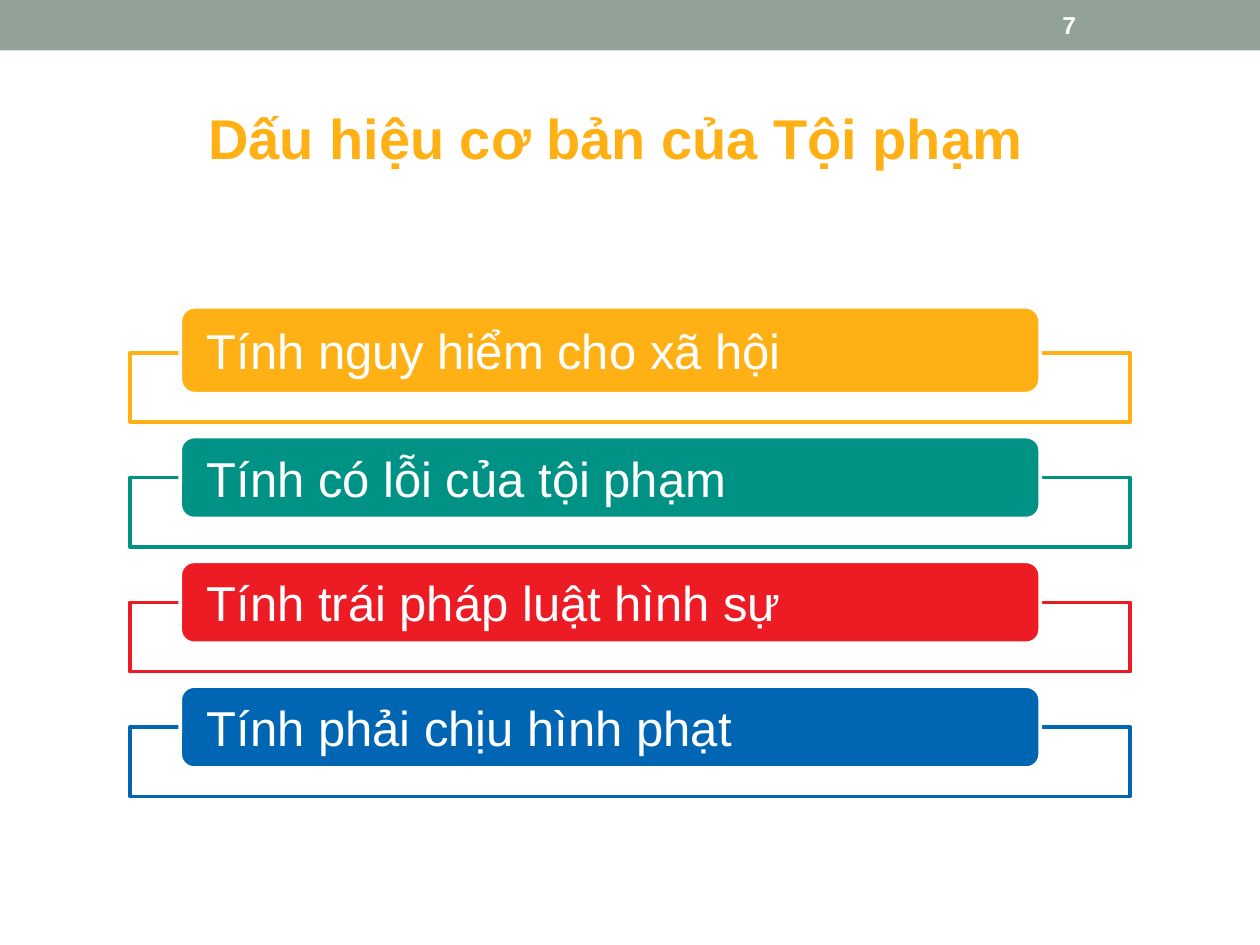
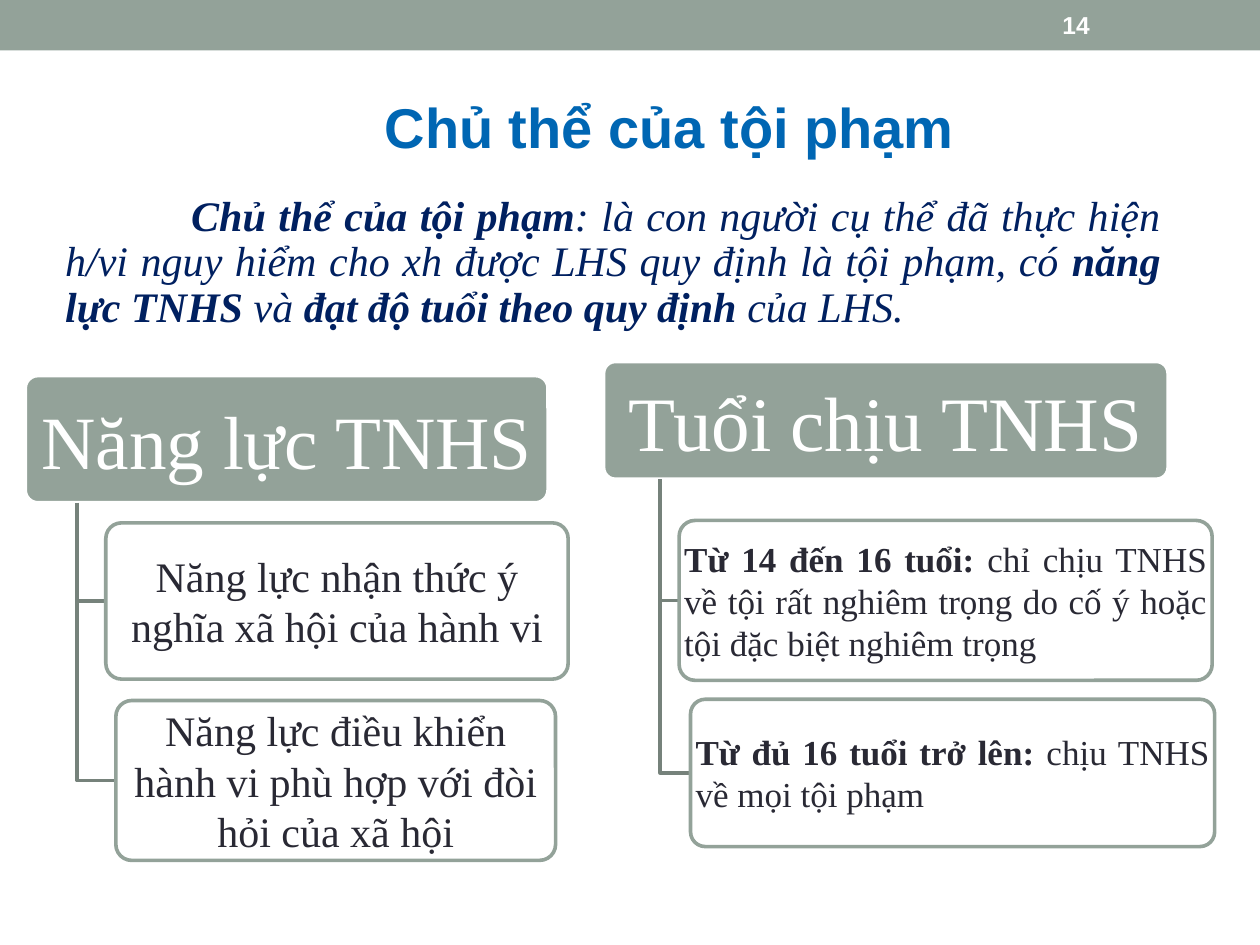
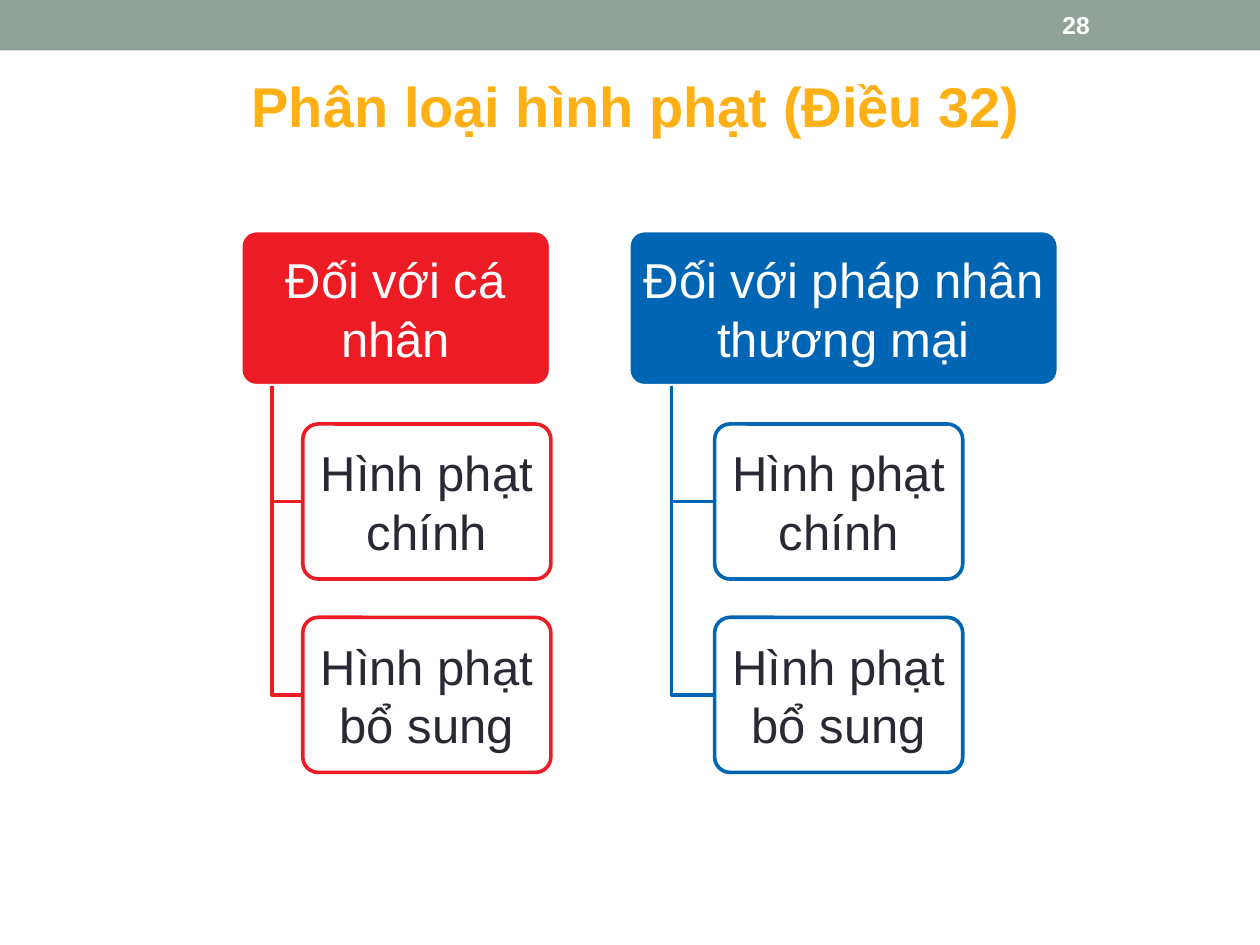
from lxml import etree
from pptx import Presentation
from pptx import util as u
from pptx.dml.color import RGBColor
from pptx.enum import shapes, text
from pptx.oxml import ns

COLORS = {
    "sage": "93A299", "stem": "76827B", "amber": "FFB014", "teal": "009284",
    "red": "ED1C24", "blue": "0066B3", "navy": "002060", "ink": "292934",
    "white": "FFFFFF",
}
SANS, SERIF = "Arial", "Times New Roman"
LINE_WIDTH = 2.08
CORNER_INSET = 0.29
ALIGN = text.PP_ALIGN
ANCHOR = text.MSO_ANCHOR
KIND = shapes.MSO_SHAPE


def rgb(color):
    """Return the palette colour called color."""
    return RGBColor.from_string(COLORS[color])


def points(values):
    """Convert numbers to lengths in points."""
    return [u.Pt(value) for value in values]


def write(frame, runs, size, color, font=SANS, align=ALIGN.LEFT,
          anchor=ANCHOR.MIDDLE, insets=(7.2, 3.6), spacing=None, italic=False):
    """Fill a text frame with one paragraph of (wording, bold) runs."""
    frame.word_wrap = True
    frame.vertical_anchor = anchor
    frame.margin_left = frame.margin_right = u.Pt(insets[0])
    frame.margin_top = frame.margin_bottom = u.Pt(insets[1])
    paragraph = frame.paragraphs[0]
    paragraph.alignment = align
    if spacing:
        paragraph.line_spacing = spacing
    for wording, bold in runs:
        run = paragraph.add_run()
        run.text = wording
        run.font.name = font
        run.font.size = u.Pt(size)
        run.font.bold = bold
        run.font.italic = italic
        run.font.color.rgb = rgb(color)
    return paragraph


def add_text(slide, box, runs, size, color, **style):
    """Add a text box and return its paragraph."""
    frame = slide.shapes.add_textbox(*points(box)).text_frame
    return write(frame, runs, size, color, **style)


def add_block(slide, kind, box, fill, line=None, opacity=None):
    """Add a filled preset shape with an optional outline."""
    block = slide.shapes.add_shape(kind, *points(box))
    block.shadow.inherit = False
    block.fill.solid()
    block.fill.fore_color.rgb = rgb(fill)
    if opacity:
        solid = block.fill._xPr.find(ns.qn("a:solidFill"))
        etree.SubElement(solid[0], ns.qn("a:alpha"), val=str(opacity * 1000))
    if line:
        block.line.color.rgb = rgb(line)
        block.line.width = u.Pt(LINE_WIDTH)
    else:
        block.line.fill.background()
    return block


def add_card(slide, box, fill, line, runs, size, color, insets,
             corner=0.1, opacity=None, **style):
    """Add a rounded card whose text insets count from its outer edges."""
    card = add_block(slide, KIND.ROUNDED_RECTANGLE, box, fill, line, opacity)
    card.adjustments[0] = corner
    inner = corner * min(box[2:]) * CORNER_INSET
    insets = [max(0, inset - inner) for inset in insets]
    write(card.text_frame, runs, size, color, insets=insets, **style)


def add_branch(slide, trunk, top, leaf, color):
    """Draw a branch down the trunk and across to the middle of a leaf."""
    left, leaf_top, _, height = leaf
    middle = leaf_top + height / 2
    builder = slide.shapes.build_freeform(*points((trunk, top)))
    builder.add_line_segments(
        [points((trunk, middle)), points((left, middle))], close=False)
    branch = builder.convert_to_shape()
    branch.shadow.inherit = False
    branch.fill.background()
    branch.line.color.rgb = rgb(color)
    branch.line.width = u.Pt(LINE_WIDTH)


def add_tree(slide, head, heading, head_size, head_insets, trunk, leaves,
             leaf_size, leaf_insets, color, stem, font, align=ALIGN.CENTER):
    """Draw a heading card with outlined leaf cards hanging from it."""
    add_card(slide, head, color, "white", [(heading, False)], head_size, "white",
             head_insets, font=font, align=ALIGN.CENTER)
    for box, runs in leaves:
        add_branch(slide, trunk, head[1] + head[3], box, stem)
        add_card(slide, box, "white", color, runs, leaf_size, "ink", leaf_insets,
                 opacity=90, font=font, align=align)


def start_slide(deck, number, title, title_box, color, anchor=ANCHOR.TOP):
    """Add a slide with the top band, its page number and a title."""
    slide = deck.slides.add_slide(deck.slide_layouts[6])
    add_block(slide, KIND.RECTANGLE, (0, 0, 720, 28.8), "sage")
    add_text(slide, (600, 1.4, 84, 26), [(number, True)], 14, "white")
    add_text(slide, title_box, [(title, True)], 32, color,
             align=ALIGN.CENTER, anchor=anchor, spacing=0.9)
    return slide


def build_signs(deck):
    """Build the list of the basic signs of a crime."""
    slide = start_slide(deck, "7", "Dấu hiệu cơ bản của Tội phạm",
                        (30.2, 59.8, 643.7, 41.8), "amber")
    signs = [
        ("Tính nguy hiểm cho xã hội", "amber", 49.7),
        ("Tính có lỗi của tội phạm", "teal", 46.8),
        ("Tính trái pháp luật hình sự", "red", 46.8),
        ("Tính phải chịu hình phạt", "blue", 46.8),
    ]
    for row, (sign, color, height) in enumerate(signs):
        top = 201.6 + row * 71.3
        add_block(slide, KIND.RECTANGLE, (74.2, top, 571.7, 39.6),
                  "white", color, 90)
        add_card(slide, (103, top + 23.4 - height, 491.4, height), color, "white",
                 [(sign, False)], 28, "white", (15.1, 0), corner=0.17)


def build_subject(deck):
    """Build the definition of the subject of a crime and its two conditions."""
    slide = start_slide(deck, "14", "Chủ thể của tội phạm",
                        (90, 30.2, 585.4, 88.6), "blue", ANCHOR.MIDDLE)
    definition = [
        ("Chủ thể của tội phạm", True),
        (": là con người cụ thể đã thực hiện h/vi nguy hiểm cho xh được LHS "
         "quy định là tội phạm, có ", False),
        ("năng lực TNHS ", True),
        ("và ", False),
        ("đạt độ tuổi theo quy định ", True),
        ("của LHS.", False),
    ]
    paragraph = add_text(slide, (26.6, 108, 643.7, 349.2), definition, 24, "navy",
                         font=SERIF, align=ALIGN.JUSTIFY, anchor=ANCHOR.TOP,
                         spacing=0.9, italic=True)
    properties = paragraph._p.get_or_add_pPr()
    properties.set("marL", str(u.Pt(3.6)))
    properties.set("indent", str(u.Pt(72)))

    abilities = [
        ((60.5, 298.8, 264.2, 89.3),
         [("Năng lực nhận thức ý nghĩa xã hội của hành vi", False)]),
        ((66.2, 400.3, 251.3, 91.4),
         [("Năng lực điều khiển hành vi phù hợp với đòi hỏi của xã hội", False)]),
    ]
    add_tree(slide, (14.4, 214.6, 298.8, 72.7), "Năng lực TNHS", 43, (6.5, 4.3),
             43.9, abilities, 24, (3.6, 2.2), "sage", "stem", SERIF)
    ages = [
        ((388.1, 297.4, 304.6, 91.4),
         [("Từ 14 đến 16 tuổi: ", True),
          ("chỉ chịu TNHS về tội rất nghiêm trọng do cố ý hoặc tội đặc biệt "
           "nghiêm trọng", False)]),
        ((394.6, 399.6, 299.5, 84.2),
         [("Từ đủ 16 tuổi trở lên: ", True),
          ("chịu TNHS về mọi tội phạm", False)]),
    ]
    add_tree(slide, (344.9, 206.6, 322.6, 67.3), "Tuổi chịu TNHS", 44, (6.5, 4.3),
             377.3, ages, 20, (2.9, 2.2), "sage", "stem", SERIF, ALIGN.JUSTIFY)


def build_penalties(deck):
    """Build the classification of penalties by offender."""
    slide = start_slide(deck, "28", "Phân loại hình phạt (Điều 32)",
                        (41.8, 41.8, 643.7, 66.2), "amber")
    top, height, pitch = 131.8, 88.6, 110.5
    penalties = ["Hình phạt chính", "Hình phạt bổ sung"]
    offenders = [
        ("Đối với cá nhân", 137.6, 177.1, "red"),
        ("Đối với pháp nhân thương mại", 359.3, 245.5, "blue"),
    ]
    for offender, left, width, color in offenders:
        leaves = [((left + width / 5, top + row * pitch, 141.8, height),
                   [(penalty, False)])
                  for row, penalty in enumerate(penalties, 1)]
        add_tree(slide, (left, top, width, height), offender, 28, (4.3, 2.9),
                 left + width / 10, leaves, 28, (4.3, 2.9), color, color, SANS)


def main():
    """Build the deck and save it."""
    deck = Presentation()
    deck.slide_width, deck.slide_height = points((720, 540))
    build_signs(deck)
    build_subject(deck)
    build_penalties(deck)
    deck.save("out.pptx")


if __name__ == "__main__":
    main()
